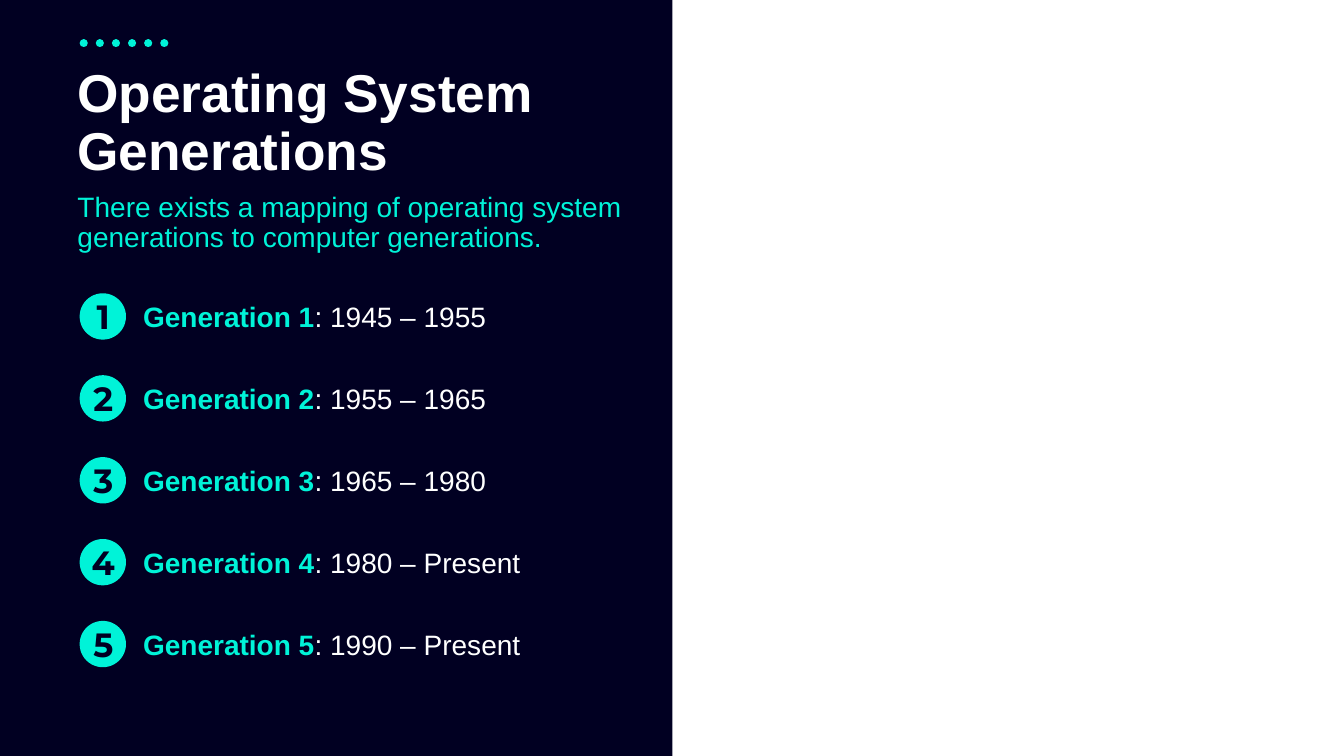
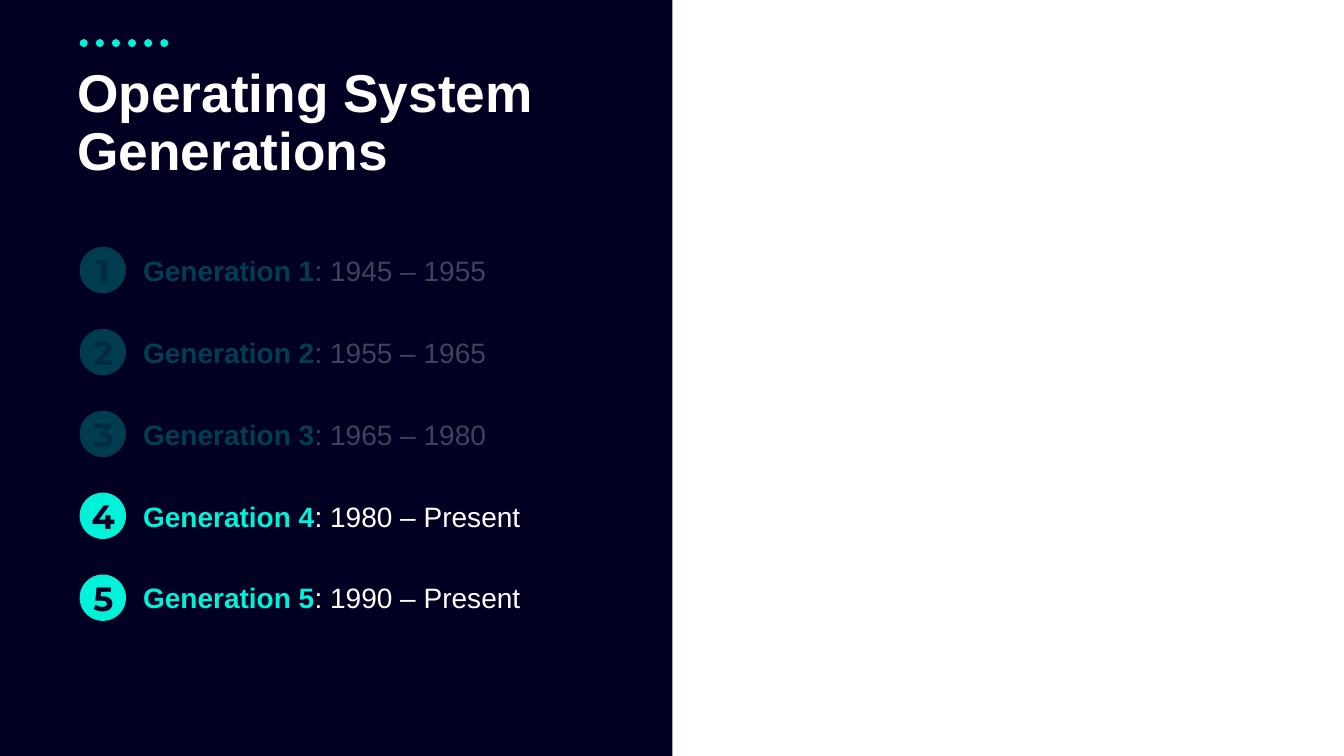
from lxml.etree import SubElement
from pptx import Presentation
from pptx.dml.color import RGBColor
from pptx.enum.dml import MSO_LINE
from pptx.enum.shapes import MSO_CONNECTOR, MSO_SHAPE
from pptx.enum.text import MSO_ANCHOR, PP_ALIGN
from pptx.oxml.ns import qn
from pptx.util import Inches, Pt

COLORS = {"navy": "010022", "aqua": "00F3D8", "white": "FFFFFF"}
BODY_FONT = "Arial"
NUMBER_FONT = "Montserrat"
FADED = 25  # opacity in percent

TITLE = "Operating System Generations"
SUBTITLE = ("There exists a mapping of operating system generations "
            "to computer generations.")
PERIODS = ["1945 – 1955", "1955 – 1965", "1965 – 1980",
           "1980 – Present", "1990 – Present"]
LIST_SPAN = 3.25  # from the first row to the last
ROW_PITCH = LIST_SPAN / (len(PERIODS) - 1)


def set_fill(fill, color, opacity=100):
    fill.solid()
    fill.fore_color.rgb = RGBColor.from_string(COLORS[color])
    if opacity < 100:
        # The public API has no transparency setting
        for tint in fill._xPr.iter(qn("a:srgbClr")):
            SubElement(tint, qn("a:alpha")).set("val", str(opacity * 1000))


def add_filled_shape(shapes, preset, left, top, width, height, color, opacity=100):
    shape = shapes.add_shape(preset, Inches(left), Inches(top),
                             Inches(width), Inches(height))
    shape.shadow.inherit = False
    set_fill(shape.fill, color, opacity)
    shape.line.fill.background()
    return shape


def add_text(shapes, left, top, width, height, anchor=MSO_ANCHOR.MIDDLE,
             wrap=True, align=PP_ALIGN.LEFT, line_spacing=1.0):
    """Add an empty text box and return its first paragraph."""
    box = shapes.add_textbox(Inches(left), Inches(top),
                             Inches(width), Inches(height))
    frame = box.text_frame
    frame.word_wrap = wrap
    frame.vertical_anchor = anchor
    para = frame.paragraphs[0]
    para.alignment = align
    para.line_spacing = line_spacing
    return para


def add_span(para, text, size, color, bold=False, font=BODY_FONT, opacity=100):
    span = para.add_run()
    span.text = text
    span.font.name = font
    span.font.size = Pt(size)
    span.font.bold = bold
    set_fill(span.font.fill, color, opacity)


def add_dotted_line(shapes):
    line = shapes.add_connector(MSO_CONNECTOR.STRAIGHT, Inches(0.83), Inches(0.43),
                                Inches(1.67), Inches(0.43))
    set_fill(line.line.fill, "aqua")
    line.line.width = Pt(5.75)
    line.line.dash_style = MSO_LINE.ROUND_DOT
    properties = line._element.spPr
    properties.find(qn("a:ln")).set("cap", "rnd")
    SubElement(properties, qn("a:effectLst"))


def add_page(deck):
    """Add a slide with the shared panel, dots and title."""
    page = deck.slides.add_slide(deck.slide_layouts[6])
    add_filled_shape(page.shapes, MSO_SHAPE.RECTANGLE, 0, 0, 6.67, 7.5, "navy")
    add_dotted_line(page.shapes)
    para = add_text(page.shapes, 0.67, 0.61, 5.33, 1.25, line_spacing=0.9)
    add_span(para, TITLE, 38, "white", bold=True)
    return page


def add_subtitle(page):
    para = add_text(page.shapes, 0.67, 1.87, 5.75, 0.96,
                    anchor=MSO_ANCHOR.TOP, line_spacing=0.9)
    add_span(para, SUBTITLE, 20, "aqua")


def add_badge(page, number, top, opacity):
    badge = page.shapes.add_group_shape()
    add_filled_shape(badge.shapes, MSO_SHAPE.OVAL, 0.79, top, 0.46, 0.46,
                     "aqua", opacity)
    para = add_text(badge.shapes, 0.81, top - 0.02, 0.43, 0.5,
                    wrap=False, align=PP_ALIGN.CENTER)
    add_span(para, str(number), 24, "navy", True, NUMBER_FONT, opacity)


def add_generations(page, top, faded=()):
    for index, period in enumerate(PERIODS):
        number = index + 1
        row_top = top + index * ROW_PITCH
        opacity = FADED if number in faded else 100
        para = add_text(page.shapes, 1.32, row_top, 5.01, 0.44)
        add_span(para, f"Generation {number}", 20, "aqua", True, opacity=opacity)
        add_span(para, f": {period}", 20, "white", opacity=opacity)
        add_badge(page, number, row_top - 0.01, opacity)


def main():
    deck = Presentation()
    deck.slide_width = Inches(13.33)
    deck.slide_height = Inches(7.5)

    # Overview of all generations
    overview = add_page(deck)
    add_subtitle(overview)
    add_generations(overview, 2.92)

    # Focus on the current generations
    current = add_page(deck)
    add_generations(current, 2.46, faded=(1, 2, 3))

    deck.save("out.pptx")


if __name__ == "__main__":
    main()
